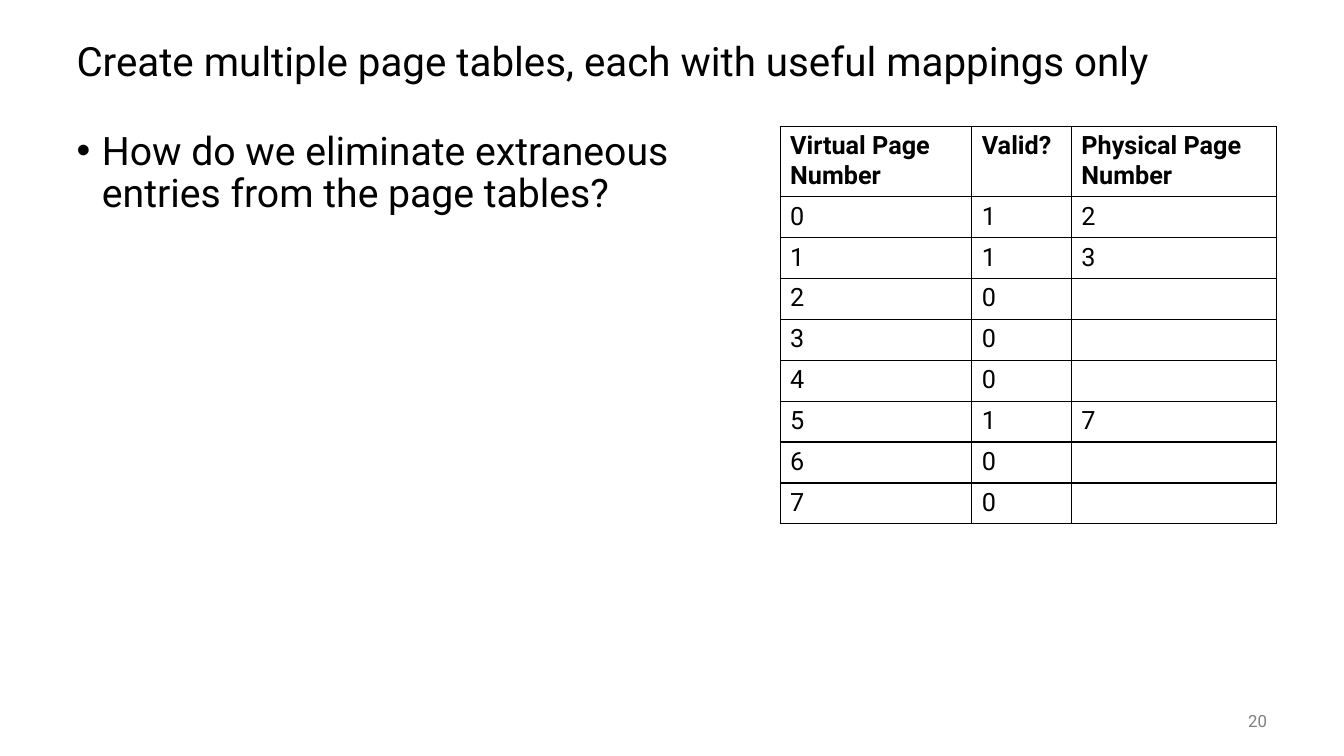
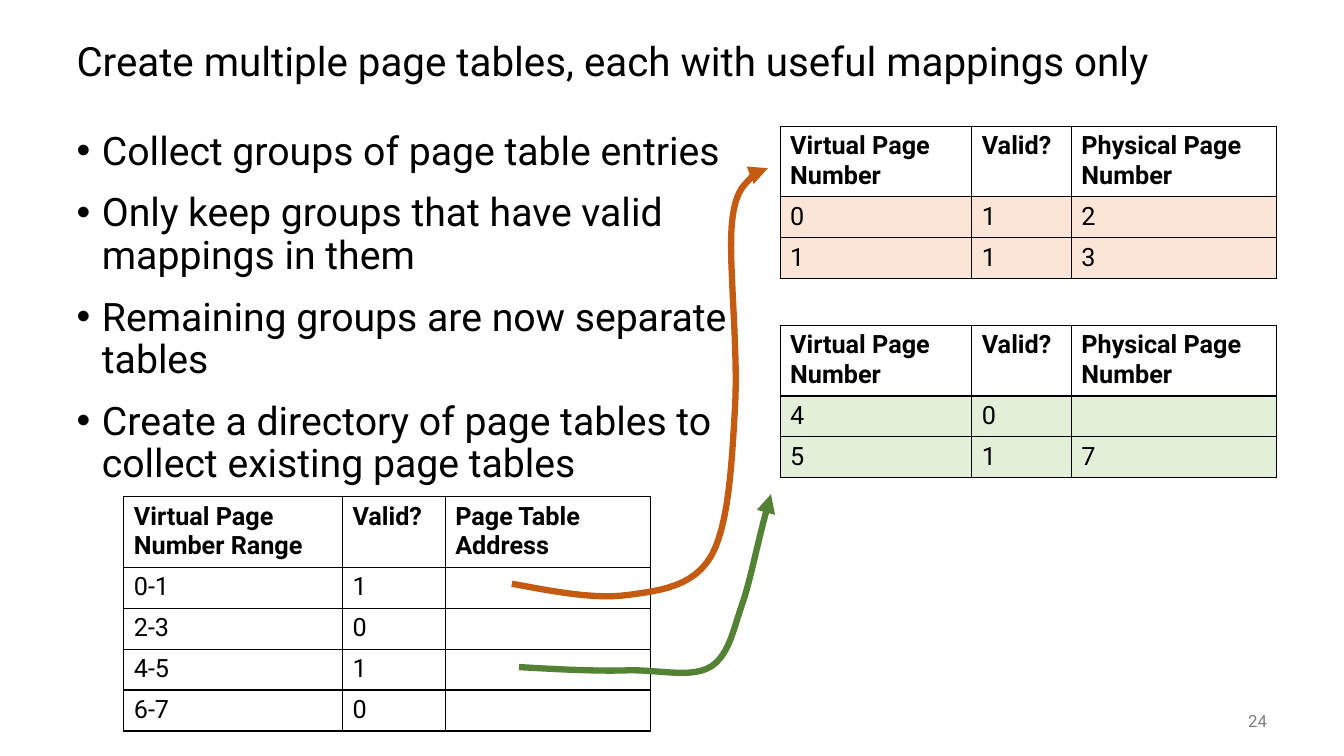
"""Build two slides on splitting one page table into several useful ones."""
from dataclasses import dataclass

from lxml.etree import SubElement as Sub
from pptx import Presentation as Deck
from pptx.dml.color import RGBColor as Rgb
from pptx.enum.text import MSO_ANCHOR as Anchor, PP_ALIGN as Align
from pptx.oxml.ns import qn
from pptx.slide import Slide
from pptx.text.text import TextFrame as Frame, _Paragraph as Para
from pptx.util import Cm, Pt

Point = tuple[float, float]
Box = tuple[float, float, float, float]
Row = tuple[str, str, str]


@dataclass(frozen=True)
class Theme:
    font: str = "Roboto"
    black: str = "000000"
    grey: str = "808080"
    white: str = "FFFFFF"
    peach: str = "FBE5D6"
    mint: str = "E2F0D9"
    rust: str = "C55A11"
    green: str = "548235"
    title: float = 28.8
    body: float = 28
    cell: float = 18
    foot: float = 12
    rule: float = 1
    curve: float = 4.5


@dataclass(frozen=True)
class Grid:
    left: float
    top: float
    cols: tuple[float, float, float]
    head: Row
    rows: tuple[Row, ...]
    fill: str


@dataclass(frozen=True)
class Curve:
    dots: tuple[Point, ...]
    tint: str


@dataclass(frozen=True)
class Page:
    number: str
    width: float
    points: tuple[str, ...]
    grids: tuple[Grid, ...]
    curves: tuple[Curve, ...] = ()


LOOK = Theme()
TITLE = "Create multiple page tables, each with useful mappings only"
HEAD_TALL, ROW_TALL = 1.75, 1.03
STEPS = 12


def page_grid(top: float, rows: tuple[Row, ...], fill: str = LOOK.white) -> Grid:
    head = ("Virtual Page Number", "Valid?", "Physical Page Number")
    return Grid(19.66, top, (4.83, 2.51, 5.18), head, rows, fill)


PAGES = (
    Page("20", 16.41, ("How do we eliminate extraneous entries from the page tables?",), (
        page_grid(3.18, (
            ("0", "1", "2"), ("1", "1", "3"), ("2", "0", ""), ("3", "0", ""),
            ("4", "0", ""), ("5", "1", "7"), ("6", "0", ""), ("7", "0", ""),
        )),
    )),
    Page("24", 17.6, (
        "Collect groups of page table entries",
        "Only keep groups that have valid mappings in them",
        "Remaining groups are now separate tables",
        "Create a directory of page tables to collect existing page tables",
    ), (
        Grid(3.12, 12.52, (5.51, 2.59, 5.18),
             ("Virtual Page Number Range", "Valid?", "Page Table Address"),
             (("0-1", "1", ""), ("2-3", "0", ""), ("4-5", "1", ""), ("6-7", "0", "")),
             LOOK.white),
        page_grid(3.18, (("0", "1", "2"), ("1", "1", "3")), LOOK.peach),
        page_grid(8.2, (("4", "0", ""), ("5", "1", "7")), LOOK.mint),
    ), (
        Curve((
            (12.9, 14.71), (13.97, 14.91), (15.01, 15.11), (15.85, 14.99),
            (16.66, 14.88), (17.48, 14.78), (17.93, 14),
            (18.36, 13.23), (18.44, 11.73), (18.52, 10.34),
            (18.62, 8.94), (18.36, 6.65), (18.44, 5.69),
            (18.52, 4.7), (18.82, 4.65), (18.97, 4.42),
            (19.13, 4.17), (18.92, 4.19), (19.35, 4.24),
        ), LOOK.rust),
        Curve((
            (13.08, 16.81), (14.1, 16.87), (15.11, 16.92), (15.9, 16.89),
            (16.71, 16.89), (17.45, 17.09), (17.93, 16.79),
            (18.39, 16.48), (18.49, 15.82), (18.75, 15.09),
            (18.97, 14.38), (19.1, 13.61), (19.43, 12.45),
        ), LOOK.green),
    )),
)


def add_run(para: Para, text: str, size: float, tint: str = LOOK.black,
            bold: bool = False) -> None:
    run = para.add_run()
    run.text = text
    font = run.font
    font.name, font.size, font.bold = LOOK.font, Pt(size), bold
    font.color.rgb = Rgb.from_string(tint)


def add_box(slide: Slide, box: Box, anchor: Anchor) -> Frame:
    frame = slide.shapes.add_textbox(*map(Cm, box)).text_frame
    frame.word_wrap = True
    frame.vertical_anchor = anchor
    return frame


def add_title(slide: Slide) -> None:
    para = add_box(slide, (1.68, 0.64, 30.48, 1.9), Anchor.MIDDLE).paragraphs[0]
    para.line_spacing = 0.9
    add_run(para, TITLE, LOOK.title)


def add_foot(slide: Slide, number: str) -> None:
    para = add_box(slide, (29.64, 17.65, 2.54, 1.02), Anchor.MIDDLE).paragraphs[0]
    para.alignment = Align.RIGHT
    add_run(para, number, LOOK.foot, LOOK.grey)


def add_points(slide: Slide, width: float, points: tuple[str, ...]) -> None:
    frame = add_box(slide, (1.68, 3.18, width, 13.97), Anchor.TOP)
    for i, text in enumerate(points):
        para = frame.add_paragraph() if i else frame.paragraphs[0]
        props = para._p.get_or_add_pPr()
        props.set("marL", str(Cm(0.64)))
        props.set("indent", str(-Cm(0.64)))
        Sub(props, qn("a:buFont"), typeface="Arial")
        Sub(props, qn("a:buChar"), char="•")
        para.line_spacing = 0.9
        para.space_before = Pt(14 if i else 0)
        add_run(para, text, LOOK.body)


def add_grid(slide: Slide, grid: Grid) -> None:
    lines = (grid.head, *grid.rows)
    tall = HEAD_TALL + ROW_TALL * len(grid.rows)
    table = slide.shapes.add_table(
        len(lines), len(grid.cols), Cm(grid.left), Cm(grid.top),
        Cm(sum(grid.cols)), Cm(tall)).table
    table.first_row = table.horz_banding = False
    for col, width in zip(table.columns, grid.cols):
        col.width = Cm(width)
    for r, line in enumerate(lines):
        table.rows[r].height = Cm(ROW_TALL if r else HEAD_TALL)
        for c, text in enumerate(line):
            cell = table.cell(r, c)
            props = cell._tc.get_or_add_tcPr()
            for side in "LRTB":
                edge = Sub(props, qn(f"a:ln{side}"), w=str(Pt(LOOK.rule)))
                Sub(Sub(edge, qn("a:solidFill")), qn("a:srgbClr"), val=LOOK.black)
            cell.fill.solid()
            cell.fill.fore_color.rgb = Rgb.from_string(grid.fill if r else LOOK.white)
            if text:
                add_run(cell.text_frame.paragraphs[0], text, LOOK.cell, bold=r == 0)


def trace(dots: tuple[Point, ...]) -> list[Point]:
    track = [dots[0]]
    for i in range(0, len(dots) - 1, 3):
        for step in range(1, STEPS + 1):
            t = step / STEPS
            u = 1 - t
            parts = (u ** 3, 3 * u * u * t, 3 * u * t * t, t ** 3)
            x, y = (sum(p * dot[k] for p, dot in zip(parts, dots[i:i + 4]))
                    for k in (0, 1))
            track.append((x, y))
    return track


def add_curve(slide: Slide, curve: Curve) -> None:
    start, *rest = [(Cm(x), Cm(y)) for x, y in trace(curve.dots)]
    pen = slide.shapes.build_freeform(*start)
    pen.add_line_segments(rest, close=False)
    shape = pen.convert_to_shape()
    shape.shadow.inherit = False
    shape.fill.background()
    shape.line.color.rgb = Rgb.from_string(curve.tint)
    shape.line.width = Pt(LOOK.curve)
    line = shape.element.spPr.find(qn("a:ln"))
    Sub(line, qn("a:round"))
    Sub(line, qn("a:tailEnd"), type="triangle")


def main() -> None:
    deck = Deck()
    deck.slide_width, deck.slide_height = Cm(33.87), Cm(19.05)
    for page in PAGES:
        slide = deck.slides.add_slide(deck.slide_layouts[6])
        add_points(slide, page.width, page.points)
        add_title(slide)
        add_foot(slide, page.number)
        for grid in page.grids:
            add_grid(slide, grid)
        for curve in page.curves:
            add_curve(slide, curve)
    deck.save("out.pptx")


if __name__ == "__main__":
    main()
